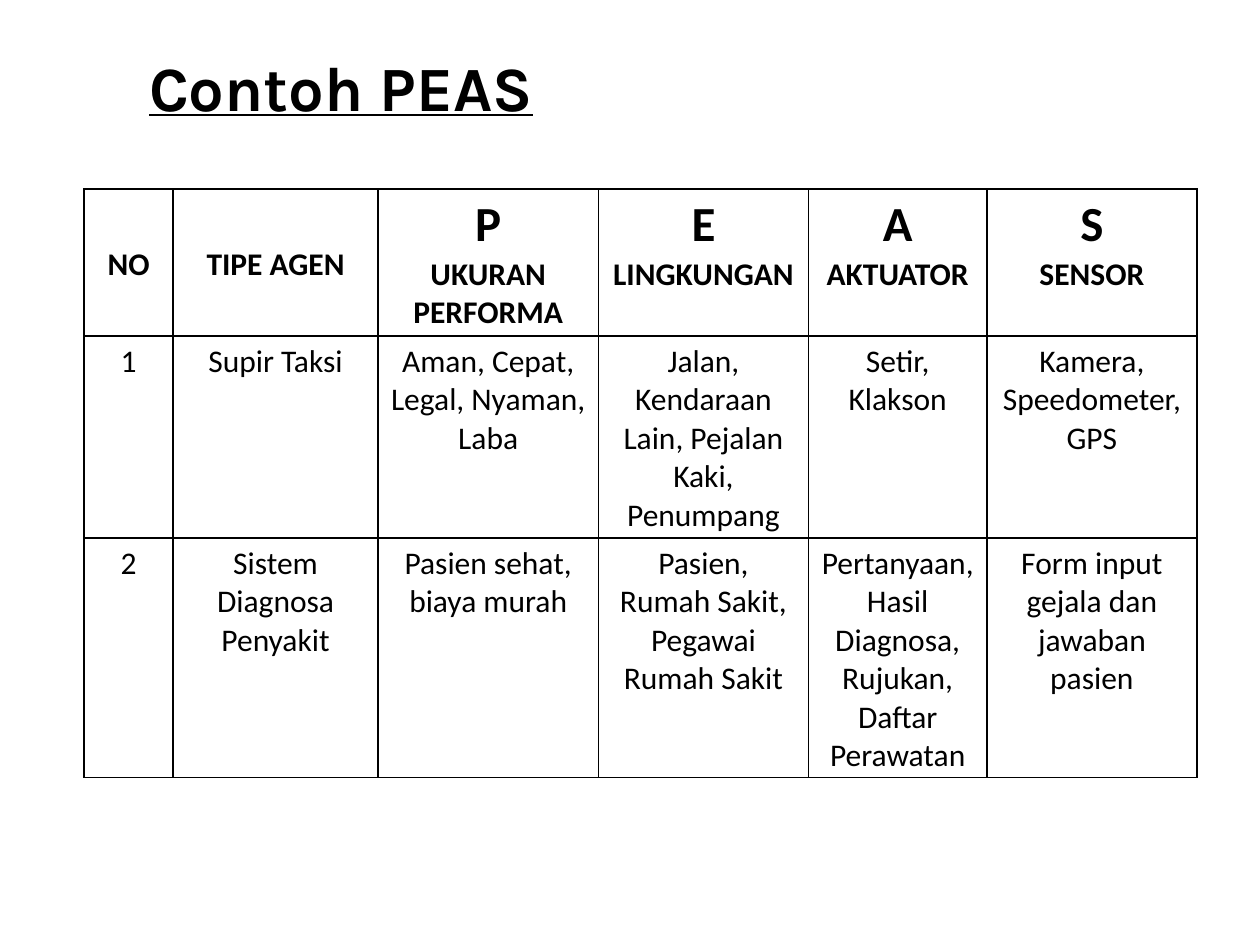
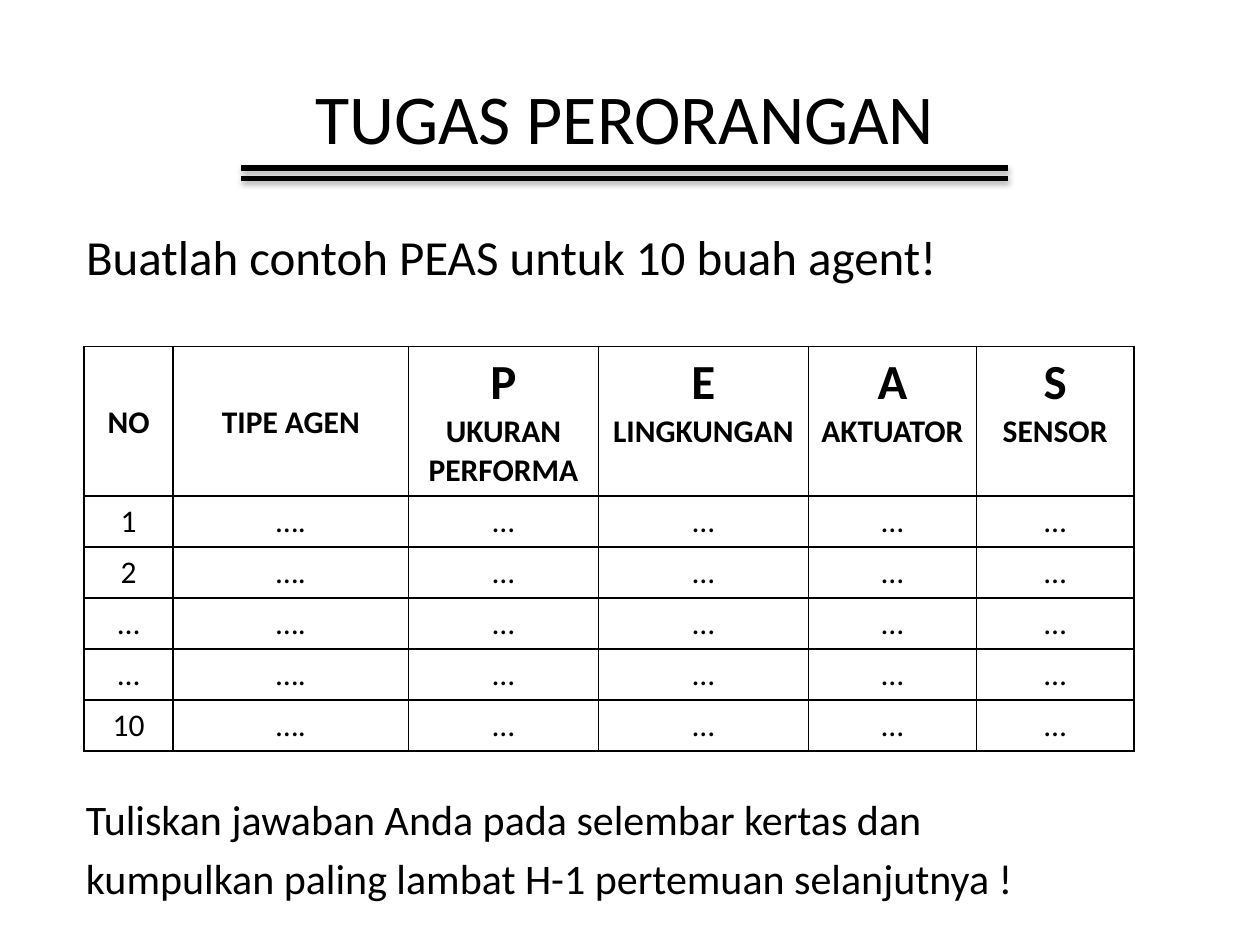
from dataclasses import dataclass

from lxml import etree
from pptx import Presentation
from pptx.dml.color import RGBColor
from pptx.enum.shapes import MSO_CONNECTOR
from pptx.enum.text import MSO_ANCHOR, MSO_AUTO_SIZE, PP_ALIGN
from pptx.oxml.ns import qn
from pptx.util import Pt

LEFT, CENTER = PP_ALIGN.LEFT, PP_ALIGN.CENTER
TOP, MIDDLE = MSO_ANCHOR.TOP, MSO_ANCHOR.MIDDLE
NO_AUTOFIT = MSO_AUTO_SIZE.NONE
STRAIGHT = MSO_CONNECTOR.STRAIGHT
TITLE_AND_BODY, TITLE_ONLY = 1, 5


@dataclass(frozen=True)
class Theme:
    ink: str = "000000"
    paper: str = "FFFFFF"
    body_font: str = "Calibri"
    heading_font: str = "Karla"
    title_size: float = 40
    heading_size: float = 36
    letter_size: float = 28
    lead_size: float = 28
    note_size: float = 24
    cell_size: float = 18
    border: float = 1
    rule: float = 3


@dataclass(frozen=True)
class Box:
    left: float
    top: float
    width: float
    height: float


@dataclass(frozen=True)
class PeasTable:
    left: float
    top: float
    columns: tuple[float, ...]
    heights: tuple[float, ...]
    rows: tuple[tuple[str, ...], ...]


THEME = Theme()
HEADINGS = (
    ("NO",),
    ("TIPE AGEN",),
    ("P", "UKURAN PERFORMA"),
    ("E", "LINGKUNGAN"),
    ("A", "AKTUATOR"),
    ("S", "SENSOR"),
)
EXAMPLES = PeasTable(
    left=48,
    top=108,
    columns=(51, 117, 126, 120, 102, 120),
    heights=(84, 115.4, 136.8),
    rows=(
        ("1", "Supir Taksi", "Aman, Cepat, Legal, Nyaman, Laba",
         "Jalan, Kendaraan Lain, Pejalan Kaki, Penumpang",
         "Setir, Klakson", "Kamera, Speedometer, GPS"),
        ("2", "Sistem Diagnosa Penyakit", "Pasien sehat, biaya murah",
         "Pasien, Rumah Sakit, Pegawai Rumah Sakit",
         "Pertanyaan, Hasil Diagnosa, Rujukan, Daftar Perawatan",
         "Form input gejala dan jawaban pasien"),
    ),
)
NUMBERS = ("1", "2", "…", "…", "10")
ASSIGNMENT = PeasTable(
    left=48,
    top=198,
    columns=(51, 134.5, 108.5, 120, 96, 90),
    heights=(85.3,) + (29.2,) * len(NUMBERS),
    rows=tuple((number, "….") + ("…",) * 4 for number in NUMBERS),
)


def write(frame, text: str, *, size: float, font: str = THEME.body_font,
          bold: bool = False, underline: bool = False, align=LEFT,
          before: float = 0, more: bool = False):
    para = frame.add_paragraph() if more else frame.paragraphs[0]
    para.alignment = align
    para.space_before = Pt(before)
    span = para.add_run()
    span.text = text
    span.font.name = font
    span.font.size = Pt(size)
    span.font.bold = bold
    span.font.underline = underline
    span.font.color.rgb = RGBColor.from_string(THEME.ink)
    return para


def place(shape, box: Box, anchor=TOP):
    shape.left, shape.top = Pt(box.left), Pt(box.top)
    shape.width, shape.height = Pt(box.width), Pt(box.height)
    frame = shape.text_frame
    frame.word_wrap = True
    frame.auto_size = NO_AUTOFIT
    frame.vertical_anchor = anchor
    return frame


def remove_bullet(para) -> None:
    properties = para._p.get_or_add_pPr()
    properties.set("marL", "0")
    properties.set("indent", "0")
    etree.SubElement(properties, qn("a:buNone"))


def add_borders(cell) -> None:
    properties = cell._tc.get_or_add_tcPr()
    for side in ("lnL", "lnR", "lnT", "lnB"):
        line = etree.SubElement(properties, qn(f"a:{side}"), w=str(Pt(THEME.border)))
        fill = etree.SubElement(line, qn("a:solidFill"))
        etree.SubElement(fill, qn("a:srgbClr"), val=THEME.ink)


def format_cell(cell, lines: tuple[str, ...], heading: bool) -> None:
    add_borders(cell)
    cell.fill.background()
    cell.margin_bottom = Pt(1.5)
    cell.vertical_anchor = MIDDLE if heading and len(lines) == 1 else TOP
    for index, text in enumerate(lines):
        is_letter = len(lines) > 1 and index == 0
        write(cell.text_frame, text, bold=heading, align=CENTER, more=index > 0,
              size=THEME.letter_size if is_letter else THEME.cell_size)


def add_peas_table(page, peas: PeasTable) -> None:
    frame = page.shapes.add_table(
        len(peas.heights), len(peas.columns), Pt(peas.left), Pt(peas.top),
        Pt(sum(peas.columns)), Pt(sum(peas.heights)))
    table = frame.table
    table.first_row = table.horz_banding = False
    for column, width in zip(table.columns, peas.columns):
        column.width = Pt(width)
    for row, height in zip(table.rows, peas.heights):
        row.height = Pt(height)
    for column, lines in enumerate(HEADINGS):
        format_cell(table.cell(0, column), lines, True)
    for row, texts in enumerate(peas.rows, 1):
        for column, text in enumerate(texts):
            format_cell(table.cell(row, column), (text,), False)


def add_rule(page, left: float, right: float, top: float) -> None:
    rule = page.shapes.add_connector(STRAIGHT, Pt(left), Pt(top), Pt(right), Pt(top))
    rule.line.width = Pt(THEME.rule)
    rule.line.color.rgb = RGBColor.from_string(THEME.ink)
    effects = etree.SubElement(rule._element.spPr, qn("a:effectLst"))
    shadow = etree.SubElement(
        effects, qn("a:outerShdw"), blurRad=str(Pt(3.1)), dist=str(Pt(1.8)),
        dir="5400000", rotWithShape="0")
    color = etree.SubElement(shadow, qn("a:srgbClr"), val=THEME.ink)
    etree.SubElement(color, qn("a:alpha"), val="35000")


def add_page(deck, layout: int):
    page = deck.slides.add_slide(deck.slide_layouts[layout])
    page.background.fill.solid()
    page.background.fill.fore_color.rgb = RGBColor.from_string(THEME.paper)
    return page


def build_examples(deck) -> None:
    page = add_page(deck, TITLE_ONLY)
    title = place(page.shapes.title, Box(78, 24, 614, 51))
    write(title, "Contoh PEAS", size=THEME.heading_size,
          font=THEME.heading_font, bold=True, underline=True)
    add_peas_table(page, EXAMPLES)


def build_assignment(deck) -> None:
    page = add_page(deck, TITLE_AND_BODY)
    title = place(page.shapes.title, Box(42, 21.6, 630, 90), MIDDLE)
    write(title, "TUGAS PERORANGAN", size=THEME.title_size, align=CENTER)
    for top in (96, 102):
        add_rule(page, 138, 576, top)
    lead = place(page.placeholders[1], Box(42, 126, 636, 54))
    remove_bullet(write(lead, "Buatlah contoh PEAS untuk 10 buah agent!",
                        size=THEME.lead_size))
    add_peas_table(page, ASSIGNMENT)
    note_box = Box(42, 450, 636, 54)
    note = place(page.shapes.add_textbox(0, 0, 0, 0), note_box)
    write(note, "Tuliskan jawaban Anda pada selembar kertas dan", size=THEME.note_size)
    write(note, "kumpulkan paling lambat H-1 pertemuan selanjutnya !",
          size=THEME.note_size, before=THEME.note_size * 0.2, more=True)


def main() -> None:
    deck = Presentation()
    deck.slide_width, deck.slide_height = Pt(720), Pt(540)
    build_examples(deck)
    build_assignment(deck)
    deck.save("out.pptx")


main()
